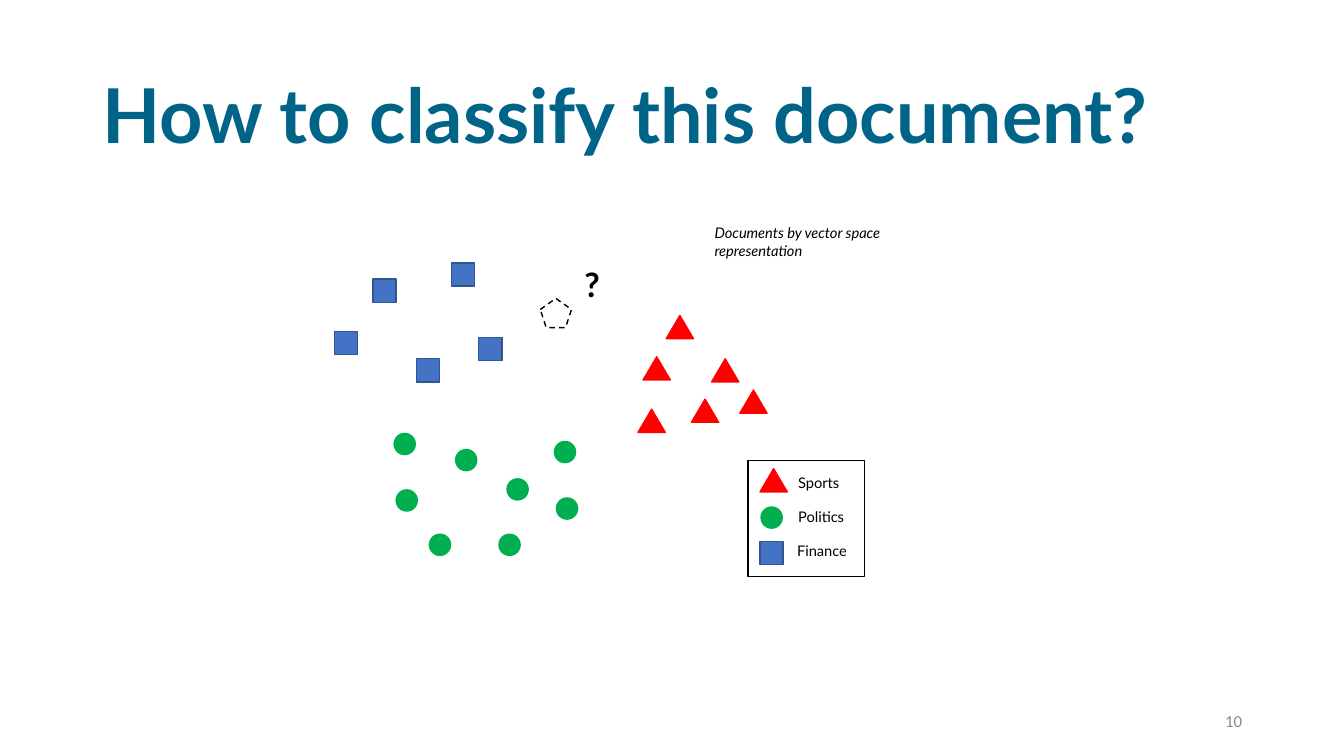
from pptx import Presentation
from pptx import util as u
from pptx.dml.color import RGBColor
from pptx.enum import dml, shapes, text

# Positions and sizes are columns and rows of a grid of 0.1 inch cells.
CELL = u.Inches(0.1)
COLUMNS, ROWS = 133.33, 75

SHAPE = shapes.MSO_SHAPE
SQUARE = dict(kind=SHAPE.RECTANGLE, size=(2.3, 2.3), fill="4472C4", line="325491")
TRIANGLE = dict(kind=SHAPE.ISOSCELES_TRIANGLE, size=(2.7, 2.3), fill="FF0000", line="FF0000")
CIRCLE = dict(kind=SHAPE.OVAL, size=(2.1, 2.1), fill="00B050", line="00B050")
UNKNOWN = dict(kind=SHAPE.REGULAR_PENTAGON, size=(3.1, 2.9), line="000000", dashed=True)
LEGEND_FRAME = dict(kind=SHAPE.RECTANGLE, size=(11.6, 11.5), line="000000")

CLUSTERS = [
    (SQUARE, [(37, 27.7), (33.2, 32.9), (41.3, 35.6), (44.8, 26.1), (47.5, 33.5)]),
    (TRIANGLE, [(66.1, 31.3), (63.8, 35.4), (63.3, 40.6), (73.4, 38.7),
                (70.6, 35.6), (68.6, 39.6)]),
    (CIRCLE, [(39.1, 43), (45.2, 44.6), (50.3, 47.5), (49.5, 53), (42.6, 53),
              (39.3, 48.6), (55, 43.8), (55.2, 49.4)]),
]
# Marker, its left and top, label, label's left
LEGEND = [
    (TRIANGLE, 75.4, 46.5, "Sports", 78.2),
    (CIRCLE, 75.5, 50.3, "Politics", 78.2),
    (SQUARE, 75.4, 53.7, "Finance", 78.1),
]
LEGEND_TOP, LEGEND_STEP = 46.5, 3.4


def cells(*counts):
    return [round(count * CELL) for count in counts]


def color(hex_code):
    return RGBColor.from_string(hex_code)


def add_marker(parent, left, top, kind, size, line, fill=None, dashed=False):
    marker = parent.add_shape(kind, *cells(left, top, *size))
    marker.shadow.inherit = False
    if fill:
        marker.fill.solid()
        marker.fill.fore_color.rgb = color(fill)
    else:
        marker.fill.background()
    marker.line.color.rgb = color(line)
    marker.line.width = u.Pt(1)
    if dashed:
        marker.line.dash_style = dml.MSO_LINE.DASH


def add_label(parent, words, area, size, hex_code="000000", name="Lato",
              anchor=text.MSO_ANCHOR.TOP, align=text.PP_ALIGN.LEFT, **style):
    frame = parent.add_textbox(*cells(*area)).text_frame
    frame.word_wrap = True
    frame.vertical_anchor = anchor
    paragraph = frame.paragraphs[0]
    paragraph.alignment = align
    run = paragraph.add_run()
    run.text = words
    for attribute, value in dict(name=name, size=u.Pt(size), **style).items():
        setattr(run.font, attribute, value)
    run.font.color.rgb = color(hex_code)


def add_legend(slide):
    legend = slide.shapes.add_group_shape().shapes
    for row, (marker, left, top, words, label_left) in enumerate(LEGEND):
        add_marker(legend, left, top, **marker)
        label_top = LEGEND_TOP + row * LEGEND_STEP
        add_label(legend, words, (label_left, label_top, 10.4, 2.8), 10.5)
    add_marker(legend, 74.2, 45.7, **LEGEND_FRAME)


def main():
    deck = Presentation()
    deck.slide_width, deck.slide_height = cells(COLUMNS, ROWS)
    slide = deck.slides.add_slide(deck.slide_layouts[6])
    canvas = slide.shapes
    middle = text.MSO_ANCHOR.MIDDLE

    add_label(canvas, "How to classify this document?", (9.2, 4, 115, 14.5), 54,
              "006388", anchor=middle, bold=True)
    add_label(canvas, "10", (94.2, 69.5, 30, 4), 12, "898989", "Calibri",
              anchor=middle, align=text.PP_ALIGN.RIGHT)
    for marker, places in CLUSTERS:
        for left, top in places:
            add_marker(canvas, left, top, **marker)
    add_label(canvas, "?", (57, 25.7, 6.7, 5), 24, bold=True)
    add_marker(canvas, 53.6, 29.6, **UNKNOWN)
    add_legend(slide)
    add_label(canvas, "Documents by vector space representation",
              (69.9, 21.7, 21.3, 4.5), 10.5, italic=True)
    deck.save("out.pptx")


if __name__ == "__main__":
    main()
